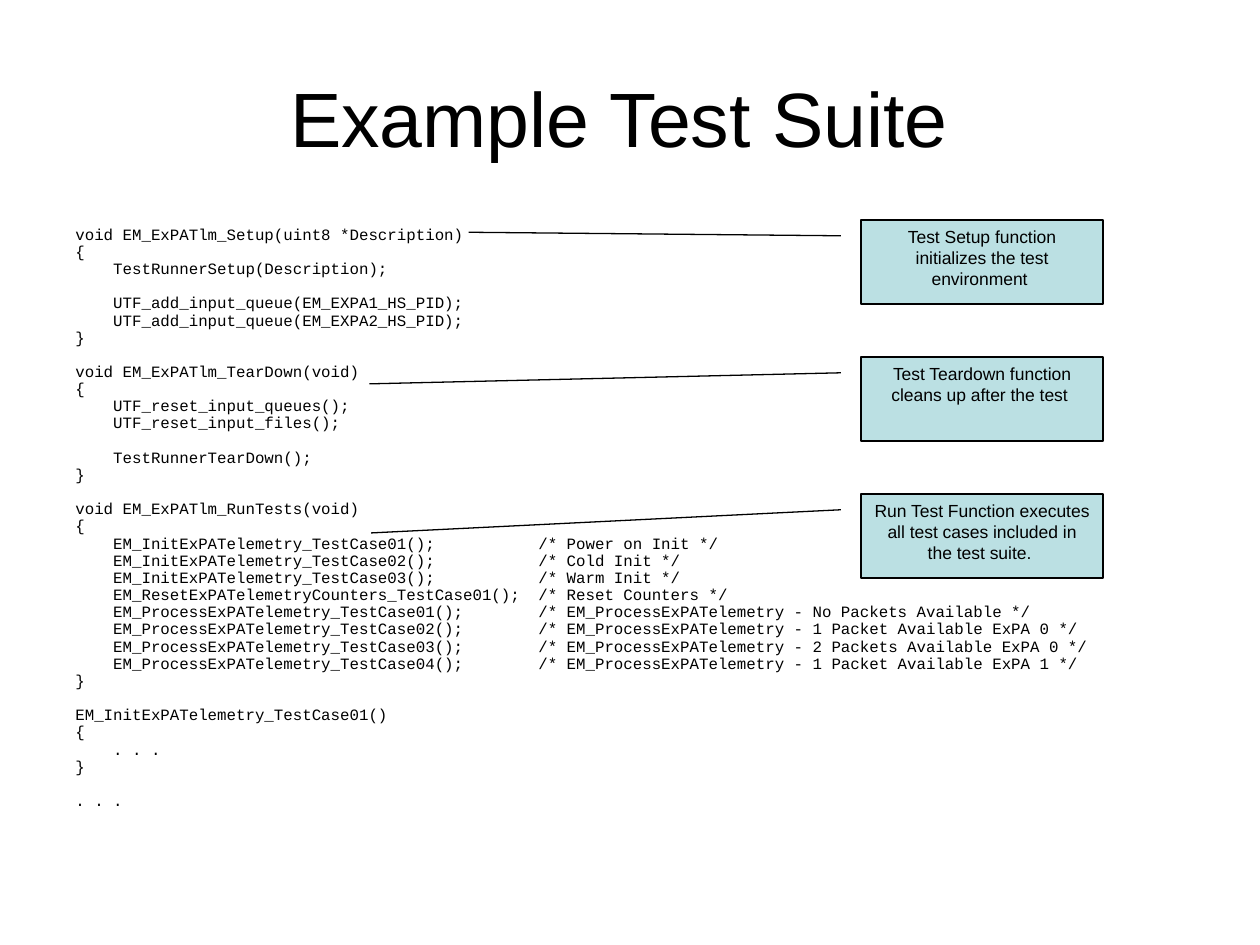
from lxml.etree import SubElement
from pptx import Presentation
from pptx.dml.color import RGBColor
from pptx.enum.shapes import MSO_SHAPE
from pptx.enum.text import MSO_ANCHOR, PP_ALIGN
from pptx.oxml.ns import qn
from pptx.util import Pt

EMU_PER_PX = 914400 / 126
BLACK = RGBColor(0x00, 0x00, 0x00)
PALE_TEAL = RGBColor(0xBB, 0xE0, 0xE3)
LINE_PITCH = 9.82
COMMENT_TAB = 463

SETUP = """\
void EM_ExPATlm_Setup(uint8 *Description)
{
    TestRunnerSetup(Description);

    UTF_add_input_queue(EM_EXPA1_HS_PID);
    UTF_add_input_queue(EM_EXPA2_HS_PID);
}"""

TEARDOWN = """\
void EM_ExPATlm_TearDown(void)
{
    UTF_reset_input_queues();
    UTF_reset_input_files();

    TestRunnerTearDown();
}"""

RUN_TESTS = """\
void EM_ExPATlm_RunTests(void)
{
    EM_InitExPATelemetry_TestCase01();\t/* Power on Init */
    EM_InitExPATelemetry_TestCase02();\t/* Cold Init */
    EM_InitExPATelemetry_TestCase03();\t/* Warm Init */
    EM_ResetExPATelemetryCounters_TestCase01();\t/* Reset Counters */
    EM_ProcessExPATelemetry_TestCase01();\t/* EM_ProcessExPATelemetry - No Packets Available */
    EM_ProcessExPATelemetry_TestCase02();\t/* EM_ProcessExPATelemetry - 1 Packet Available ExPA 0 */
    EM_ProcessExPATelemetry_TestCase03();\t/* EM_ProcessExPATelemetry - 2 Packets Available ExPA 0 */
    EM_ProcessExPATelemetry_TestCase04();\t/* EM_ProcessExPATelemetry - 1 Packet Available ExPA 1 */
}"""

TEST_CASE = """\
EM_InitExPATelemetry_TestCase01()
{
    . . .
}

. . ."""

CALLOUTS = [
    ("Test Setup function initializes the test environment ", 0.146, -1.621),
    ("Test Teardown function cleans up after the test ", 0.32, -2.032),
    ("Run Test Function executes all test cases included in the test suite. ", 0.464, -2.024),
]


def px(n):
    return round(n * EMU_PER_PX)


def write(p, text, *, size, font="Arial", align=PP_ALIGN.LEFT, pitch=None, before=0, tab=None):
    if tab:
        tabs = SubElement(p._p.get_or_add_pPr(), qn("a:tabLst"))
        SubElement(tabs, qn("a:tab"), pos=str(px(tab)), algn="l")
    p.alignment = align
    p.space_before = Pt(before)
    if pitch:
        p.line_spacing = Pt(pitch)
    r = p.add_run()
    r.text = text
    r.font.name = font
    r.font.size = Pt(size)
    r.font.color.rgb = BLACK


class Deck:
    def __init__(self, width, height):
        self.prs = Presentation()
        self.prs.slide_width, self.prs.slide_height = px(width), px(height)
        self.s = self.prs.slides.add_slide(self.prs.slide_layouts[5])

    def title(self, text, x, y, w, h):
        sp = self.s.shapes.title
        sp.left, sp.top, sp.width, sp.height = px(x), px(y), px(w), px(h)
        tf = sp.text_frame
        tf.vertical_anchor = MSO_ANCHOR.MIDDLE
        write(tf.paragraphs[0], text, size=44, align=PP_ALIGN.CENTER)

    def code(self, blocks, x, y, w, h):
        tf = self.s.shapes.add_textbox(px(x), px(y), px(w), px(h)).text_frame
        tf.word_wrap = True
        p = tf.paragraphs[0]
        groups = [group for block in blocks for group in block.split("\n\n")]
        for i, group in enumerate(groups):
            for j, line in enumerate(group.splitlines()):
                if i or j:
                    p = tf.add_paragraph()
                write(p, line, size=9, font="Courier New", pitch=LINE_PITCH,
                      before=LINE_PITCH if i and not j else 0,
                      tab=COMMENT_TAB if "\t" in line else None)

    def callout(self, text, x, y, w, h, end_y, end_x):
        sp = self.s.shapes.add_shape(MSO_SHAPE.LINE_CALLOUT_1, px(x), px(y), px(w), px(h))
        for i, value in enumerate((0.188, -0.083, end_y, end_x)):
            sp.adjustments[i] = value
        sp.shadow.inherit = False
        sp.fill.solid()
        sp.fill.fore_color.rgb = PALE_TEAL
        sp.line.color.rgb = BLACK
        sp.line.width = Pt(0.75)
        tf = sp.text_frame
        tf.word_wrap = True
        tf.vertical_anchor = MSO_ANCHOR.TOP
        write(tf.paragraphs[0], text, size=10, align=PP_ALIGN.CENTER)


def main():
    deck = Deck(1260, 945)
    deck.title("Example Test Suite ", 63, 38, 1134, 158)
    deck.code([SETUP, TEARDOWN, RUN_TESTS, TEST_CASE], 63, 220, 1134, 624)
    for i, (text, end_y, end_x) in reversed(list(enumerate(CALLOUTS))):
        deck.callout(text, 861, 220 + 137 * i, 242, 84, end_y, end_x)
    deck.prs.save("out.pptx")


if __name__ == "__main__":
    main()
